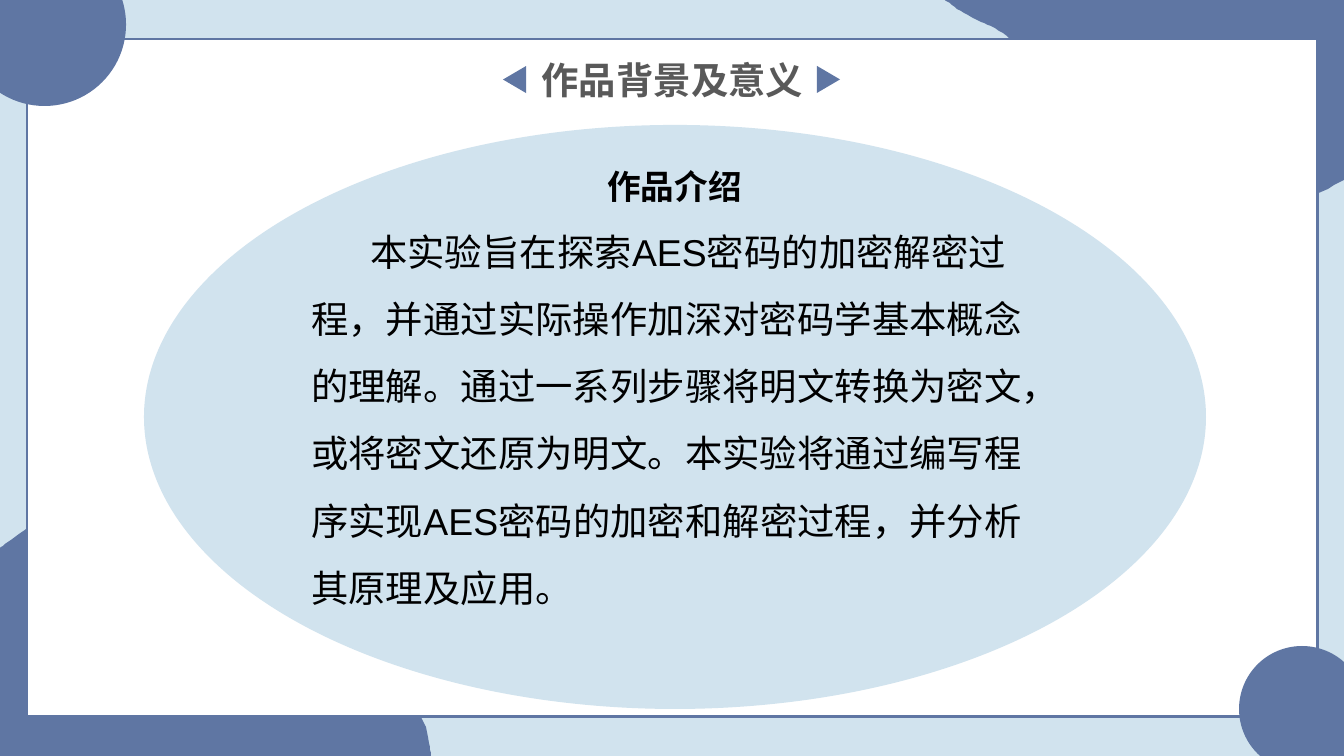
import pptx
import pptx.dml.color
import pptx.enum.shapes
import pptx.enum.text
import pptx.util

WIDTH, HEIGHT = 1344, 756
SCALE = 9144000 / WIDTH
BLUE, PALE, WHITE, GREY, BLACK = "5F76A3", "D1E3EE", "FFFFFF", "595959", "000000"
SHAPES = pptx.enum.shapes.MSO_SHAPE
ALIGN = pptx.enum.text.PP_ALIGN

TOP_WAVE = [
    (1344, 180), (1321, 192), (1294, 202), (1269, 204), (1247, 199), (1224, 184),
    (1203, 164), (1192, 152), (1171, 137), (1146, 132), (1130, 133), (1113, 142),
    (1099, 160), (1085, 183), (1066, 211), (1044, 227), (1021, 233), (1005, 230),
    (988, 216), (977, 199), (970, 172), (972, 152), (982, 136), (1003, 116),
    (1020, 93), (1025, 73), (1023, 62), (1019, 47), (1007, 36), (991, 26),
    (981, 22), (964, 13), (952, 5), (945, 0),
]
BOTTOM_WAVE = [
    (0, 548), (8, 542), (22, 532), (32, 525), (48, 520), (63, 519), (79, 520),
    (99, 524), (118, 536), (126, 556), (129, 583), (130, 607), (134, 632),
    (144, 653), (159, 669), (171, 679), (192, 689), (208, 694), (226, 695),
    (253, 691), (273, 687), (304, 681), (332, 681), (360, 685), (380, 692),
    (401, 702), (417, 712), (426, 727), (430, 747), (431, 756),
]
INTRO = (
    "本实验旨在探索AES密码的加密解密过程，并通过实际操作加深对密码学基本概念的理解。"
    "通过一系列步骤将明文转换为密文，或将密文还原为明文。"
    "本实验将通过编写程序实现AES密码的加密和解密过程，并分析其原理及应用。"
)


def px(length):
    return pptx.util.Emu(round(length * SCALE))


def color(hex_text):
    return pptx.dml.color.RGBColor.from_string(hex_text)


def apply(target, values):
    for name, value in values.items():
        setattr(target, name, value)


def smooth(points, steps=4):
    """Return points along a Catmull-Rom curve through the given points."""
    padded = [points[0], *points, points[-1]]
    curve = [points[0]]
    for a, b, c, d in zip(padded, padded[1:], padded[2:], padded[3:]):
        for step in range(1, steps + 1):
            t = step / steps
            curve.append(tuple(
                q + t / 2 * (r - p + t * (2 * p - 5 * q + 4 * r - s
                                          + t * (3 * (q - r) + s - p)))
                for p, q, r, s in zip(a, b, c, d)))
    return curve


class SlideBuilder:
    """Holds the style and the current slide."""

    font = "Arial"

    def __init__(self, page):
        self.page = page

    def background(self, fill):
        self.page.background.fill.solid()
        self.page.background.fill.fore_color.rgb = color(fill)

    def paint(self, shape, fill, line=None):
        shape.shadow.inherit = False
        shape.fill.solid()
        shape.fill.fore_color.rgb = color(fill)
        if line:
            shape.line.color.rgb = color(line)
            shape.line.width = pptx.util.Pt(1.5)
        else:
            shape.line.fill.background()

    def shape(self, kind, frame, fill, line=None, rotation=0):
        shape = self.page.shapes.add_shape(kind, *map(px, frame))
        shape.rotation = rotation
        self.paint(shape, fill, line)

    def wave(self, edge, corners):
        """Draw a filled area with a curved edge closed by straight corners."""
        start, *rest = smooth(edge) + corners
        builder = self.page.shapes.build_freeform(*start, scale=SCALE)
        builder.add_line_segments(rest, close=True)
        self.paint(builder.convert_to_shape(), BLUE)

    def text(self, frame, words, font, wrap=False, indent=0, **para_format):
        box = self.page.shapes.add_textbox(*map(px, frame))
        apply(box.text_frame, {
            "word_wrap": wrap,
            "auto_size": pptx.enum.text.MSO_AUTO_SIZE.SHAPE_TO_FIT_TEXT,
        })
        para = box.text_frame.paragraphs[0]
        apply(para, para_format)
        if indent:
            para._p.get_or_add_pPr().set("indent", str(px(indent)))
        span = para.add_run()
        span.text = words
        size, fill, bold = font
        apply(span.font, {"name": self.font, "size": pptx.util.Pt(size), "bold": bold})
        span.font.color.rgb = color(fill)


def main():
    deck = pptx.Presentation()
    apply(deck, {"slide_width": px(WIDTH), "slide_height": px(HEIGHT)})
    slide = SlideBuilder(deck.slides.add_slide(deck.slide_layouts[6]))

    slide.background(PALE)
    slide.wave(TOP_WAVE, [(WIDTH, 0)])
    slide.wave(BOTTOM_WAVE, [(0, HEIGHT)])
    slide.shape(SHAPES.RECTANGLE, (27, 39, 1291, 678), WHITE, BLUE)
    slide.shape(SHAPES.OVAL, (-37, -57, 163, 163), BLUE)
    slide.shape(SHAPES.OVAL, (1239, 646, 126, 126), BLUE)

    slide.shape(SHAPES.OVAL, (144, 125, 1062, 584), PALE)
    slide.text((531, 159, 287, 54), "作品介绍", (18, BLACK, True), alignment=ALIGN.CENTER)
    slide.text((298, 200, 752, 413), INTRO, (20, BLACK, False),
               wrap=True, indent=59, line_spacing=1.5)

    slide.text((527, 51, 291, 59), "作品背景及意义", (20, GREY, True), alignment=ALIGN.CENTER)
    for left, rotation in ((501, 270), (815, 90)):
        slide.shape(SHAPES.ISOSCELES_TRIANGLE, (left, 68, 27, 23), BLUE, rotation=rotation)

    deck.save("out.pptx")


if __name__ == "__main__":
    main()
